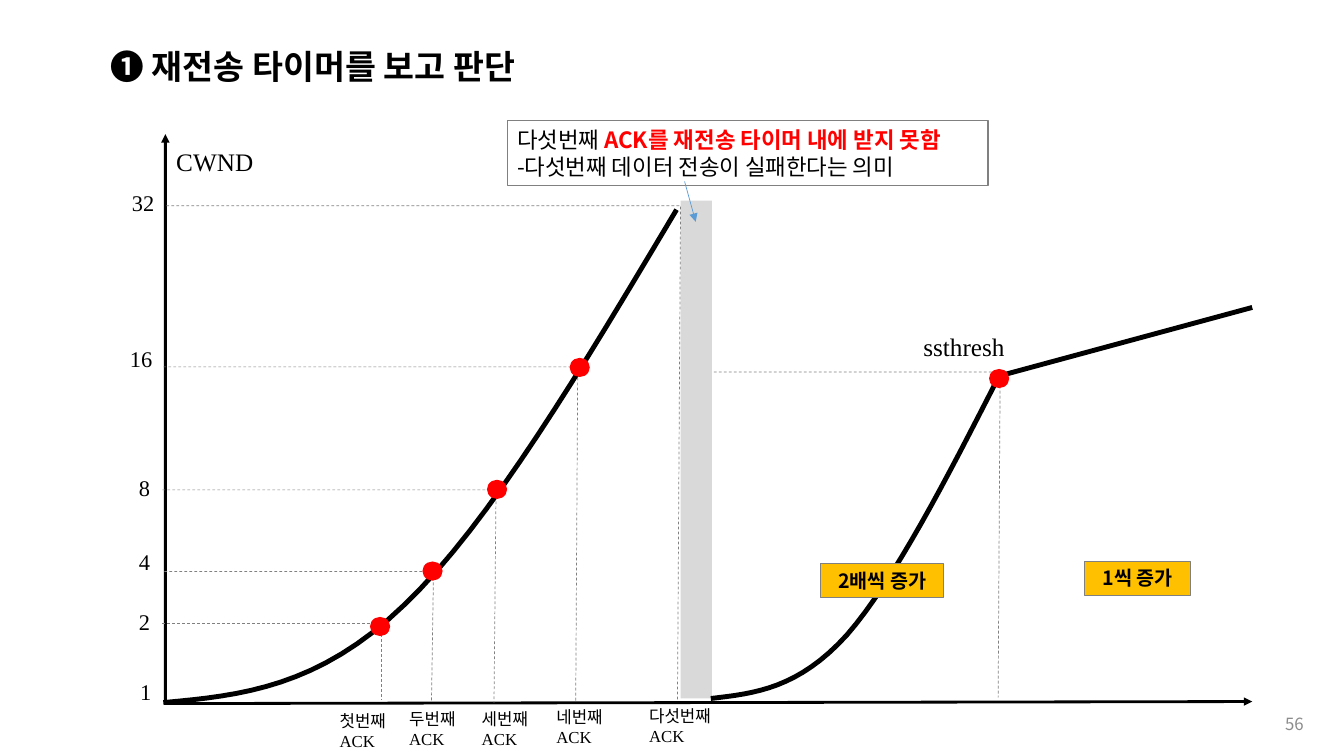
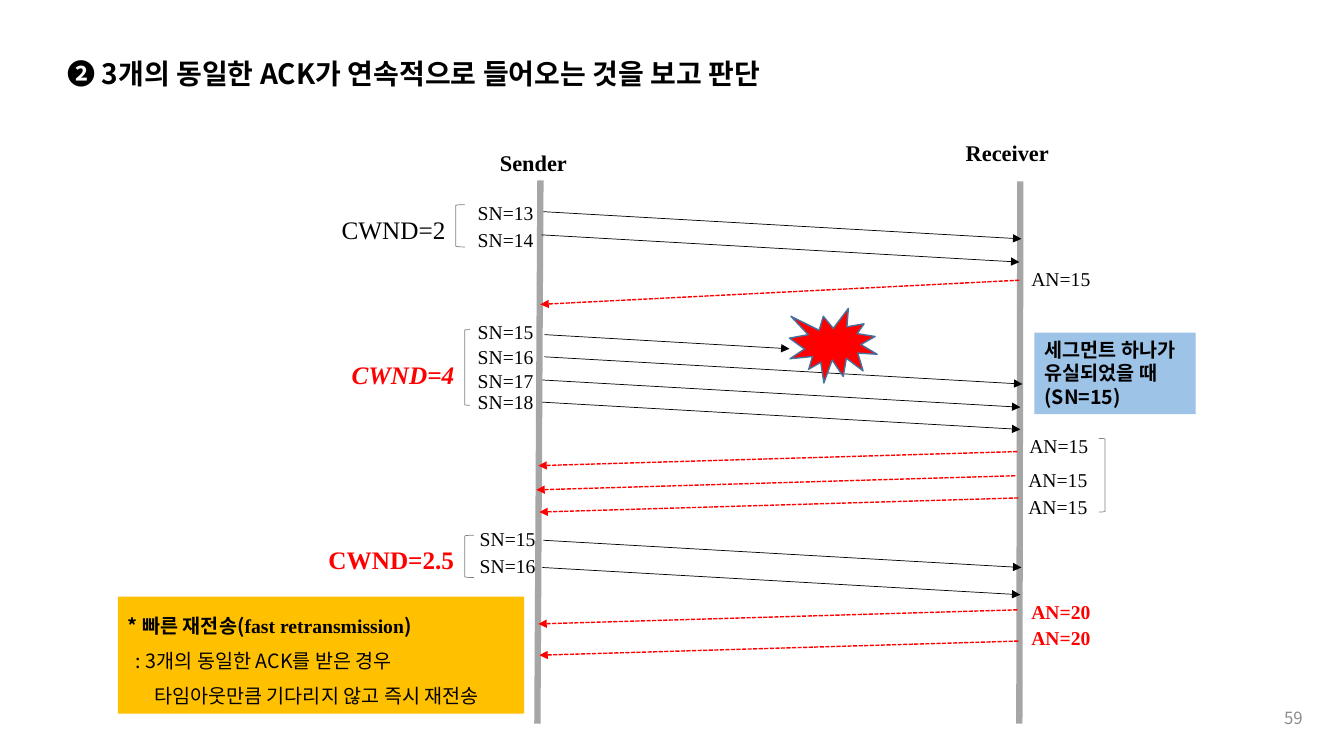
"""Build two slides on how TCP congestion control detects a lost segment."""
from lxml.etree import SubElement
from pptx import Presentation
from pptx.dml.color import RGBColor
from pptx.enum.dml import MSO_LINE
from pptx.enum.shapes import MSO_CONNECTOR, MSO_SHAPE
from pptx.enum.text import MSO_ANCHOR, MSO_AUTO_SIZE, PP_ALIGN
from pptx.oxml.ns import qn
from pptx.util import Inches, Pt

COLORS = {
    "black": "000000", "white": "FFFFFF", "red": "FF0000", "gray": "808080",
    "band": "D9D9D9", "lifeline": "A6A6A6", "number": "8C8C8C",
    "amber": "FFC000", "sky": "9DC3E6", "blue": "5B9BD5", "seal": "43739E",
}
KOREAN, LATIN = "Noto Sans CJK KR", "Times New Roman"
EMPHASIS = {"color": "red", "bold": True}

GUIDES = [
    (1.61, 6.18, 3.78, 3.78, 6.94),
    (1.63, 5.67, 4.30, 4.28, 6.96),
    (1.61, 4.86, 4.92, 4.90, 6.97),
    (1.62, 3.64, 5.73, 5.71, 6.97),
    (1.65, 2.04, 6.75, 6.72, 6.96),
    (7.08, 3.69, 9.92, 9.90, 6.92),
]
SLOW_START = [
    ((1.62, 6.97), (2.39, 6.90), (3.16, 6.82), (4.01, 6.00)),
    ((4.01, 6.00), (4.86, 5.19), (5.78, 3.64), (6.71, 2.08)),
]
RESTART = [
    ((7.05, 6.93), (7.49, 6.88), (7.92, 6.83), (8.40, 6.30)),
    ((8.40, 6.30), (8.87, 5.76), (9.39, 4.75), (9.91, 3.73)),
]
DOTS = [(9.81, 3.66), (5.65, 3.55), (4.83, 4.76), (4.19, 5.57), (3.67, 6.12)]
WINDOW_SIZES = [
    ("1", 1.29, 6.68, 0.31), ("2", 1.28, 5.98, 0.31), ("4", 1.28, 5.39, 0.31),
    ("8", 1.28, 4.65, 0.31), ("16", 1.19, 3.38, 0.43), ("32", 1.21, 1.83, 0.43),
]
ACK_TICKS = [
    ("첫번째", 3.27, 7.00, 0.73), ("두번째", 3.96, 6.98, 0.73),
    ("세번째", 4.68, 6.98, 0.73), ("네번째", 5.42, 6.96, 0.73),
    ("다섯번째", 6.34, 6.95, 0.90),
]
CALLOUT = [
    {"runs": [("다섯번째 ", {}), ("ACK를 재전송 타이머 내에 받지 못함", EMPHASIS)]},
    "-다섯번째 데이터 전송이 실패한다는 의미",
]
GROWTH = [("2배씩 증가", (8.14, 5.59, 1.22, 0.34)), ("1씩 증가", (10.76, 5.57, 1.05, 0.34))]

LIFELINES = [
    ("Sender", (4.86, 1.43, 0.93, 0.37), (5.36, 1.79), (5.33, 7.18)),
    ("Receiver", (9.48, 1.33, 1.09, 0.37), (10.12, 1.80), (10.11, 7.18)),
]
SEGMENTS = [
    ("SN=13", 4.64, 1.94, 5.39, 2.10), ("SN=14", 4.64, 2.21, 5.37, 2.33),
    ("SN=15", 4.64, 3.12, 5.40, 3.32), ("SN=16", 4.64, 3.37, 5.40, 3.54),
    ("SN=17", 4.64, 3.61, 5.38, 3.77), ("SN=18", 4.64, 3.82, 5.38, 3.99),
    ("SN=15", 4.66, 5.18, 5.39, 5.36), ("SN=16", 4.66, 5.45, 5.38, 5.63),
]
LOST_SEGMENT = 2
SEGMENT_RUN, LOST_RUN = (4.74, 0.27), (2.43, 0.14)
ACKS = [
    ("AN=15", 10.13, 2.60, 10.11, 2.78, 0.24, {}),
    ("AN=15", 10.11, 4.26, 10.09, 4.48, 0.14, {}),
    ("AN=15", 10.10, 4.59, 10.07, 4.72, 0.14, {}),
    ("AN=15", 10.10, 4.86, 10.10, 4.94, 0.14, {}),
    ("AN=20", 10.13, 5.90, 10.09, 6.05, 0.14, EMPHASIS),
    ("AN=20", 10.13, 6.16, 10.10, 6.36, 0.14, EMPHASIS),
]
ACK_RUN = 4.75
WINDOWS = [
    ("CWND=2", (3.29, 2.08, 1.24, 0.4), {}),
    ("CWND=4", (3.39, 3.52, 1.27, 0.4), {**EMPHASIS, "italic": True}),
    ("CWND=2.5", (3.16, 5.35, 1.46, 0.4), EMPHASIS),
]
BRACKETS = [
    (MSO_SHAPE.LEFT_BRACKET, (4.52, 2.03, 0.09, 0.42)),
    (MSO_SHAPE.LEFT_BRACKET, (4.61, 3.27, 0.05, 0.75)),
    (MSO_SHAPE.RIGHT_BRACKET, (10.90, 4.35, 0.06, 0.73)),
    (MSO_SHAPE.LEFT_BRACKET, (4.61, 5.31, 0.09, 0.42)),
]
LOSS_NOTE = ["세그먼트 하나가", "유실되었을 때", "(SN=15)"]
FAST_RETRANSMISSION = [
    {"runs": [("* 빠른 재전송(", {}), ("fast retransmission", {"name": LATIN}), (")", {})],
     "bold": True},
    {"runs": [(": 3개의 동일한 ACK를 받은 경우", {})], "indent": 0.08},
    {"runs": [("타임아웃만큼 기다리지 않고 즉시 재전송", {})], "indent": 0.26},
]


def rgb(color):
    return RGBColor.from_string(COLORS[color])


def style_font(font, name=None, size=None, color=None, bold=None, italic=None):
    if size:
        font.size = Pt(size)
    if color:
        font.color.rgb = rgb(color)
    if bold is not None:
        font.bold = bold
    if italic is not None:
        font.italic = italic
    if name:
        font.name = name
        SubElement(font._element, qn("a:ea")).set("typeface", name)


def write(shape, paragraphs, wrap=True, anchor=MSO_ANCHOR.TOP, **base):
    frame = shape.text_frame
    frame.word_wrap = wrap
    frame.auto_size = MSO_AUTO_SIZE.SHAPE_TO_FIT_TEXT
    frame.vertical_anchor = anchor
    for index, item in enumerate(paragraphs):
        content = {"runs": [(item, {})]} if isinstance(item, str) else item
        options = {"name": KOREAN, "color": "black", **base, **content}
        runs = options.pop("runs")
        paragraph = frame.paragraphs[0] if index == 0 else frame.add_paragraph()
        paragraph.alignment = options.pop("align", PP_ALIGN.LEFT)
        paragraph.line_spacing = options.pop("spacing", None)
        indent = options.pop("indent", 0)
        if indent:
            paragraph._p.get_or_add_pPr().set("marL", str(Inches(indent)))
        style_font(paragraph.font, **options)
        for text, changes in runs:
            run = paragraph.add_run()
            run.text = text
            style_font(run.font, **changes)


def add_text(slide, box, paragraphs, wrap=False, **options):
    text_box = slide.shapes.add_textbox(*map(Inches, box))
    write(text_box, paragraphs, wrap, **options)


def style_line(line, color, width, dash=None, head=False, tail=False):
    line.color.rgb = rgb(color)
    line.width = Pt(width)
    if dash:
        line.dash_style = dash
    for tag, wanted in (("a:headEnd", head), ("a:tailEnd", tail)):
        if wanted:
            SubElement(line._get_or_add_ln(), qn(tag)).set("type", "triangle")


def add_shape(slide, kind, box, fill=None, line=None, width=0.75):
    shape = slide.shapes.add_shape(kind, *map(Inches, box))
    shape.shadow.inherit = False
    if fill:
        shape.fill.solid()
        shape.fill.fore_color.rgb = rgb(fill)
    else:
        shape.fill.background()
    if line:
        style_line(shape.line, line, width)
    else:
        shape.line.fill.background()
    return shape


def add_line(slide, start, end, color, width, **options):
    connector = slide.shapes.add_connector(
        MSO_CONNECTOR.STRAIGHT, *map(Inches, (*start, *end)))
    style_line(connector.line, color, width, **options)
    SubElement(connector._element.spPr, qn("a:effectLst"))


def add_path(slide, points, color, width, **options):
    corners = [(Inches(x), Inches(y)) for x, y in points]
    builder = slide.shapes.build_freeform(*corners[0])
    builder.add_line_segments(corners[1:], close=False)
    shape = builder.convert_to_shape()
    shape.shadow.inherit = False
    shape.fill.background()
    style_line(shape.line, color, width, **options)


def curve_points(curves, steps=16):
    points = [curves[0][0]]
    for curve in curves:
        for step in range(1, steps + 1):
            t = step / steps
            weights = ((1 - t) ** 3, 3 * t * (1 - t) ** 2, 3 * t * t * (1 - t), t ** 3)
            points.append(tuple(
                sum(weight * point[axis] for weight, point in zip(weights, curve))
                for axis in (0, 1)))
    return points


def new_slide(presentation, number, number_place, title, title_box, title_size):
    slide = presentation.slides.add_slide(presentation.slide_layouts[6])
    add_text(slide, (*number_place, 3, 0.4), [number], wrap=True, size=12,
             color="number", align=PP_ALIGN.RIGHT, anchor=MSO_ANCHOR.MIDDLE)
    add_text(slide, title_box, [title], size=title_size, bold=True, spacing=1.5)
    return slide


def build_timer_slide(presentation):
    slide = new_slide(presentation, "56", (10.03, 6.98),
                      "❶ 재전송 타이머를 보고 판단", (1, 0.21, 4.54, 0.71), 24)
    add_shape(slide, MSO_SHAPE.RECTANGLE, (6.75, 1.99, 0.31, 4.94), "band")
    add_path(slide, [(1.64, 1.33), (1.64, 6.98), (12.42, 6.96)], "black", 2,
             head=True, tail=True)
    for left, top, right, foot, bottom in GUIDES:
        add_path(slide, [(left, top), (right, top), (foot, bottom)], "gray", 0.5,
                 dash=MSO_LINE.DASH)
    for curves in (SLOW_START, RESTART):
        add_path(slide, curve_points(curves), "black", 3.5)
    add_line(slide, (9.91, 3.73), (12.42, 3.05), "black", 3.5)
    for left, top in DOTS:
        add_shape(slide, MSO_SHAPE.OVAL, (left, top, 0.2, 0.19), "red")

    for text, box in (("CWND", (1.65, 1.4, 0.97, 0.4)), ("ssthresh", (9.06, 3.24, 1.02, 0.4))):
        add_text(slide, box, [text], name=LATIN, size=18)
    for text, left, top, width in WINDOW_SIZES:
        add_text(slide, (left, top, width, 0.37), [text], name=LATIN, size=16)
    for text, left, top, width in ACK_TICKS:
        add_text(slide, (left, top, width, 0.5),
                 [text, {"runs": [("ACK", {})], "name": LATIN}], size=12)

    callout = add_shape(slide, MSO_SHAPE.RECTANGLE, (5.03, 1.2, 4.77, 0.64), "white", "gray")
    write(callout, CALLOUT, size=16, align=PP_ALIGN.JUSTIFY)
    add_line(slide, (6.79, 1.8), (6.9, 2.2), "blue", 0.5, tail=True)
    for text, box in GROWTH:
        label = add_shape(slide, MSO_SHAPE.RECTANGLE, box, "amber", "gray")
        write(label, [text], size=14, bold=True, align=PP_ALIGN.CENTER)


def build_duplicate_ack_slide(presentation):
    slide = new_slide(presentation, "59", (10.02, 6.92),
                      "❷ 3개의 동일한 ACK가 연속적으로 들어오는 것을 보고 판단",
                      (0.57, 0.34, 8.13, 0.61), 20)
    for text, box, start, end in LIFELINES:
        add_line(slide, start, end, "lifeline", 4.5)
        add_text(slide, box, [text], name=LATIN, size=16, bold=True)
    for index, (text, left, top, x, y) in enumerate(SEGMENTS):
        across, down = LOST_RUN if index == LOST_SEGMENT else SEGMENT_RUN
        add_line(slide, (x, y), (x + across, y + down), "black", 0.5, tail=True)
        add_text(slide, (left, top, 0.76, 0.34), [text], name=LATIN, size=14)
    add_shape(slide, MSO_SHAPE.EXPLOSION1, (7.83, 3.06, 0.87, 0.74), "red", "seal", 1)
    for text, left, top, x, y, down, emphasis in ACKS:
        add_line(slide, (x, y), (x - ACK_RUN, y + down), "red", 1,
                 dash=MSO_LINE.SQUARE_DOT, tail=True)
        add_text(slide, (left, top, 0.79, 0.34), [text], name=LATIN, size=14, **emphasis)
    for text, box, emphasis in WINDOWS:
        add_text(slide, box, [text], name=LATIN, size=18, **emphasis)
    for kind, box in BRACKETS:
        add_shape(slide, kind, box, line="gray", width=0.5)

    loss_note = add_shape(slide, MSO_SHAPE.RECTANGLE, (10.26, 3.3, 1.6, 0.81), "sky")
    write(loss_note, LOSS_NOTE, wrap=False, size=14, bold=True)
    summary = add_shape(slide, MSO_SHAPE.RECTANGLE, (1.17, 5.92, 4.03, 1.16), "amber")
    write(summary, FAST_RETRANSMISSION, size=14, spacing=1.5)


def main():
    presentation = Presentation()
    presentation.slide_width = Inches(13.33)
    presentation.slide_height = Inches(7.5)
    build_timer_slide(presentation)
    build_duplicate_ack_slide(presentation)
    presentation.save("out.pptx")


if __name__ == "__main__":
    main()
